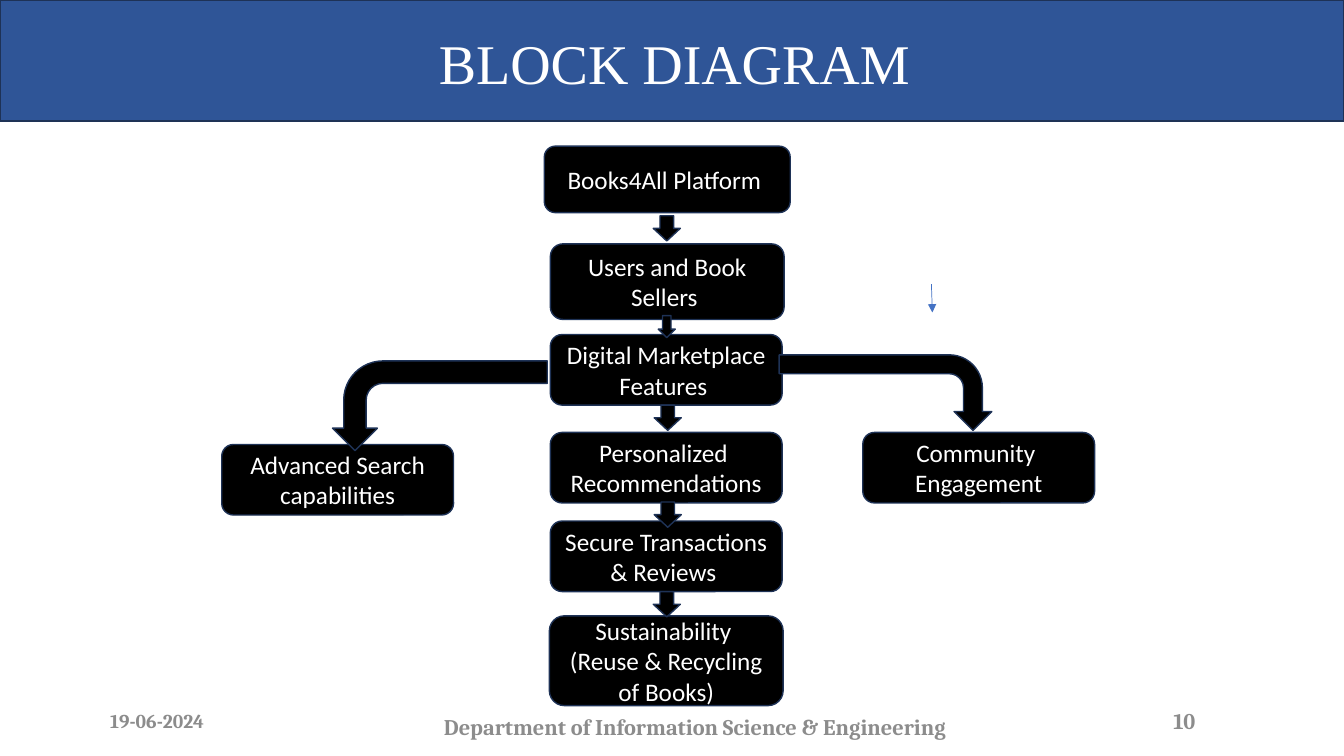
import pptx
import pptx.dml.color
import pptx.enum.shapes
import pptx.enum.text
import pptx.oxml.ns
import pptx.oxml.xmlchemy
import pptx.util

Pt = pptx.util.Pt
SHAPE = pptx.enum.shapes.MSO_SHAPE
ANCHOR = pptx.enum.text.MSO_ANCHOR
qn = pptx.oxml.ns.qn
OxmlElement = pptx.oxml.xmlchemy.OxmlElement


def rgb(code):
    return pptx.dml.color.RGBColor.from_string(code)


def write(sp, text, size=18, font="Calibri", color="FFFFFF", bold=False,
          anchor=ANCHOR.MIDDLE, spacing=None):
    """Fill a shape with centred text, one paragraph per line."""
    tf = sp.text_frame
    tf.word_wrap = True
    tf.vertical_anchor = anchor
    for i, line in enumerate(text.split("\n")):
        p = tf.add_paragraph() if i else tf.paragraphs[0]
        p.alignment = pptx.enum.text.PP_ALIGN.CENTER
        if spacing:
            p.line_spacing = spacing
        r = p.add_run()
        r.text = line
        r.font.size = Pt(size)
        r.font.name = font
        r.font.bold = bold
        r.font.color.rgb = rgb(color)


class Diagram:
    BLACK, BLUE, EDGE, ACCENT, GREY = "000000", "2F5597", "1E3256", "4472C4", "8C8C8C"

    def __init__(self, prs):
        self.s = prs.slides.add_slide(prs.slide_layouts[6])

    def shape(self, kind, x, y, w, h, fill=BLACK):
        sp = self.s.shapes.add_shape(kind, Pt(x), Pt(y), Pt(w), Pt(h))
        sp.shadow.inherit = False
        sp.fill.solid()
        sp.fill.fore_color.rgb = rgb(fill)
        sp.line.color.rgb = rgb(self.EDGE)
        sp.line.width = Pt(1)
        return sp

    def label(self, text, x, y, w, h, **style):
        write(self.s.shapes.add_textbox(Pt(x), Pt(y), Pt(w), Pt(h)), text, **style)

    def footer(self, text, x, y, w, size):
        self.label(text, x, y, w, 28.8, size=size, font="Cambria",
                   color=self.GREY, bold=True)

    def block(self, text, x, y, w=165.6, h=50.4):
        write(self.shape(SHAPE.ROUNDED_RECTANGLE, x, y, w, h), text)

    def down_arrow(self, x, y, w=19.4, h=18):
        self.shape(SHAPE.DOWN_ARROW, x, y, w, h)

    def bent_arrow(self, x, y, w, h, flip=False):
        sp = self.shape(SHAPE.BENT_ARROW, x, y, w, h)
        sp.rotation = 90
        if flip:
            sp._element.spPr.find(qn("a:xfrm")).set("flipV", "1")

    def thin_arrow(self, x1, y1, x2, y2):
        cn = self.s.shapes.add_connector(
            pptx.enum.shapes.MSO_CONNECTOR.STRAIGHT, Pt(x1), Pt(y1), Pt(x2), Pt(y2))
        cn.line.color.rgb = rgb(self.ACCENT)
        cn.line.width = Pt(0.5)
        tail = OxmlElement("a:tailEnd")
        tail.set("type", "triangle")
        cn._element.spPr.find(qn("a:ln")).append(tail)
        cn._element.spPr.append(OxmlElement("a:effectLst"))


def main():
    prs = pptx.Presentation()
    prs.slide_width, prs.slide_height = Pt(960), Pt(540)
    d = Diagram(prs)

    # Title band
    d.shape(SHAPE.RECTANGLE, 0, 0, 960, 86.4, fill=d.BLUE)
    d.label("BLOCK DIAGRAM", 67.7, 22.3, 828, 104.4, size=40,
            font="Times New Roman", anchor=ANCHOR.TOP, spacing=0.9)

    # Footer
    d.footer("19-06-2024", 4.3, 500.4, 216, 14)
    d.footer("Department of Information Science & Engineering", 294.5, 504.7, 404, 16)
    d.footer("10", 738, 500.4, 216, 16)

    # Blocks: centre column, then the two side branches
    mid = 393.1
    d.block("Books4All Platform ", 388.8, 104.4, 175.7, 47.5)
    d.block("Users and Book Sellers ", mid, 174.2, 167, 54)
    d.block("Digital Marketplace Features ", mid, 239)
    d.block("Personalized \nRecommendations", mid, 308.9)
    d.block("Secure Transactions & Reviews ", mid, 372.2)
    d.block("Sustainability \n(Reuse & Recycling of Books)", 392.4, 439.9, 167, 64.1)
    d.block("Advanced Search\ncapabilities", 158.4, 317.5)
    d.block("Community \nEngagement", 616.3, 308.9)

    # Arrows down the centre column
    for x, y in [(466.6, 154.1), (467.3, 289.4), (467.3, 358.6), (466.6, 422.6)]:
        d.down_arrow(x, y)
    d.down_arrow(470.2, 225.4, 12.2, 15.8)

    # Arrows to the side branches
    d.thin_arrow(665.3, 203, 666, 223.2)
    d.bent_arrow(605.5, 204.5, 54, 151.9)
    d.bent_arrow(282.2, 213.1, 64.1, 153.4, flip=True)

    prs.save("out.pptx")


if __name__ == "__main__":
    main()
